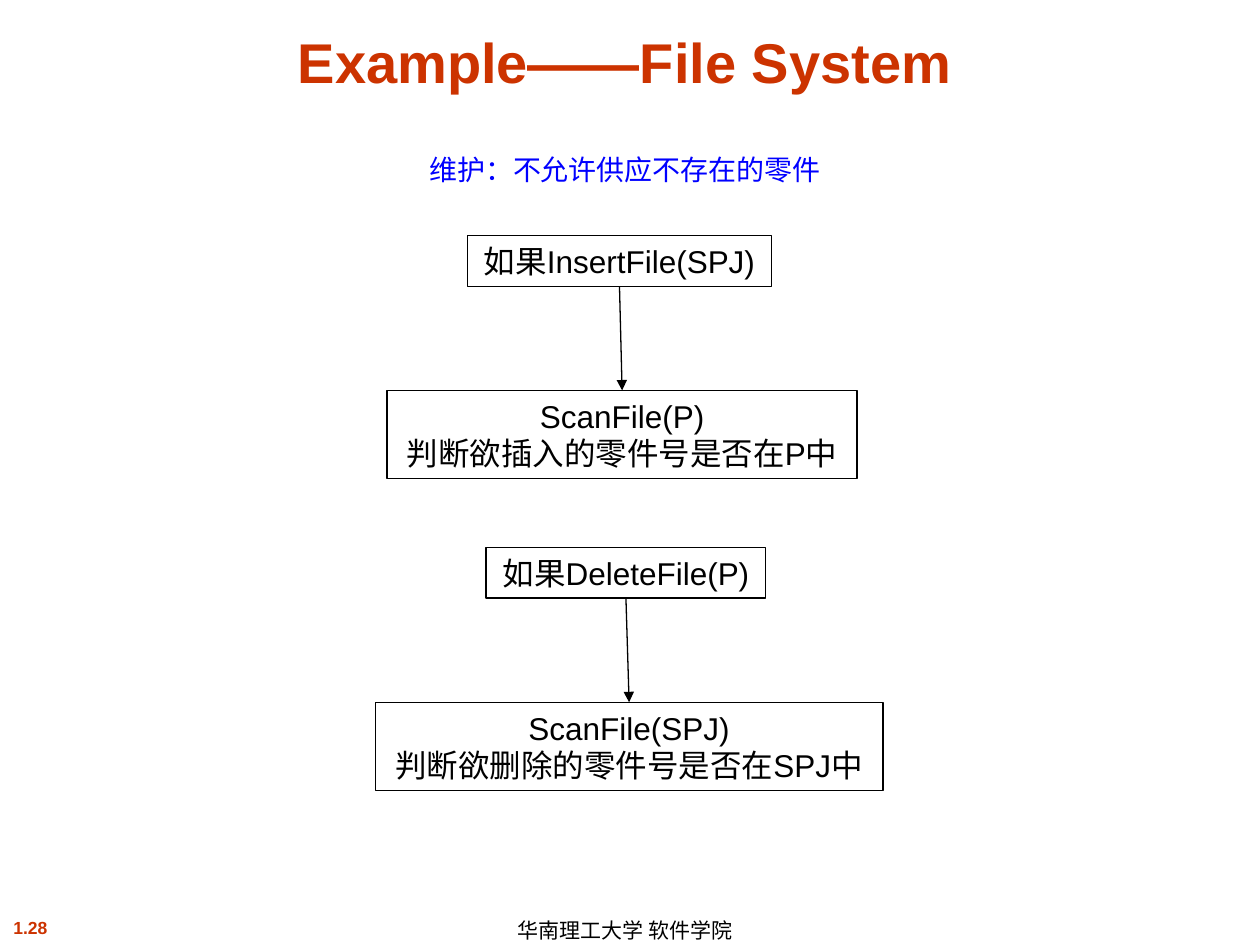
from dataclasses import dataclass

from lxml import etree
from pptx import Presentation
from pptx.dml.color import RGBColor
from pptx.enum.shapes import MSO_CONNECTOR, MSO_SHAPE
from pptx.enum.text import MSO_ANCHOR, PP_ALIGN
from pptx.oxml.ns import qn
from pptx.shapes.autoshape import Shape
from pptx.slide import Slide
from pptx.util import Pt

RECTANGLE = MSO_SHAPE.RECTANGLE
STRAIGHT = MSO_CONNECTOR.STRAIGHT
LEFT, CENTER = PP_ALIGN.LEFT, PP_ALIGN.CENTER
TOP, MIDDLE, BOTTOM = MSO_ANCHOR.TOP, MSO_ANCHOR.MIDDLE, MSO_ANCHOR.BOTTOM

BLACK = RGBColor(0, 0, 0)
WHITE = RGBColor(255, 255, 255)
RED = RGBColor(0xCC, 0x33, 0x00)
BLUE = RGBColor(0, 0, 255)

LATIN_FONT = "Arial"
CHINESE_FONT = "Noto Sans CJK JP"
LINE_WIDTH = 0.75
BOX_BOTTOM_SITE, BOX_TOP_SITE = 2, 0
FLOW_TOP, FLOW_PITCH, STEP_PITCH = 134.6, 178.2, 88.5


@dataclass(frozen=True)
class TextStyle:
    size: float
    color: RGBColor = BLACK
    bold: bool = False
    font: str = LATIN_FONT
    alignment: PP_ALIGN = CENTER
    anchor: MSO_ANCHOR = TOP
    wrap: bool = False
    space_before: float = 0
    line_spacing: float = 1.0


@dataclass(frozen=True)
class Label:
    text: str
    left: float
    top: float
    width: float
    height: float
    style: TextStyle


@dataclass(frozen=True)
class Step:
    lines: tuple[str, ...]
    center: float
    width: float
    height: float


BOX_STYLE = TextStyle(18, anchor=MIDDLE)
LABELS = (
    Label("1.28", -18, 520.6, 70.6, 19.4,
          TextStyle(10, RED, bold=True, space_before=6.2)),
    Label("华南理工大学 软件学院", 288.7, 522, 161.3, 18,
          TextStyle(12, alignment=LEFT, anchor=MIDDLE, line_spacing=1.1)),
    Label("Example——File System", 18, 9.4, 678.2, 48.2,
          TextStyle(32, RED, bold=True, anchor=BOTTOM, wrap=True)),
    Label("维护：不允许供应不存在的零件", 238.3, 83.5, 237.6, 26.6,
          TextStyle(16, BLUE, font=CHINESE_FONT, alignment=LEFT)),
)
FLOWS = (
    (Step(("如果InsertFile(SPJ)",), 354, 173.5, 29),
     Step(("ScanFile(P)", "判断欲插入的零件号是否在P中"), 355.5, 268.6, 50.4)),
    (Step(("如果DeleteFile(P)",), 357.7, 159.8, 29),
     Step(("ScanFile(SPJ)", "判断欲删除的零件号是否在SPJ中"), 359.5, 290.2, 50.4)),
)


def write_text(shape: Shape, lines: tuple[str, ...], style: TextStyle) -> None:
    frame = shape.text_frame
    frame.word_wrap = style.wrap
    frame.vertical_anchor = style.anchor
    frame.text = "\n".join(lines)
    for paragraph in frame.paragraphs:
        paragraph.alignment = style.alignment
        paragraph.space_before = Pt(style.space_before)
        paragraph.line_spacing = style.line_spacing
        paragraph.font.name = style.font
        paragraph.font.size = Pt(style.size)
        paragraph.font.bold = style.bold
        paragraph.font.color.rgb = style.color


def add_label(slide: Slide, label: Label) -> None:
    shape = slide.shapes.add_textbox(
        Pt(label.left), Pt(label.top), Pt(label.width), Pt(label.height))
    write_text(shape, (label.text,), label.style)


def add_step(slide: Slide, step: Step, top: float) -> Shape:
    shape = slide.shapes.add_shape(
        RECTANGLE, Pt(step.center - step.width / 2), Pt(top),
        Pt(step.width), Pt(step.height))
    shape.shadow.inherit = False
    shape.fill.solid()
    shape.fill.fore_color.rgb = WHITE
    shape.line.color.rgb = BLACK
    shape.line.width = Pt(LINE_WIDTH)
    write_text(shape, step.lines, BOX_STYLE)
    return shape


def add_arrow(slide: Slide, source: Shape, target: Shape) -> None:
    arrow = slide.shapes.add_connector(STRAIGHT, 0, 0, 0, 0)
    arrow.begin_connect(source, BOX_BOTTOM_SITE)
    arrow.end_connect(target, BOX_TOP_SITE)
    arrow.line.color.rgb = BLACK
    arrow.line.width = Pt(LINE_WIDTH)
    etree.SubElement(arrow.line._get_or_add_ln(), qn("a:tailEnd"), type="triangle")
    etree.SubElement(arrow._element.spPr, qn("a:effectLst"))


def main() -> None:
    presentation = Presentation()
    presentation.slide_width = Pt(720)
    presentation.slide_height = Pt(540)
    slide = presentation.slides.add_slide(presentation.slide_layouts[6])
    for label in LABELS:
        add_label(slide, label)
    for index, (condition, check) in enumerate(FLOWS):
        top = FLOW_TOP + index * FLOW_PITCH
        source = add_step(slide, condition, top)
        target = add_step(slide, check, top + STEP_PITCH)
        add_arrow(slide, source, target)
    presentation.save("out.pptx")


if __name__ == "__main__":
    main()
